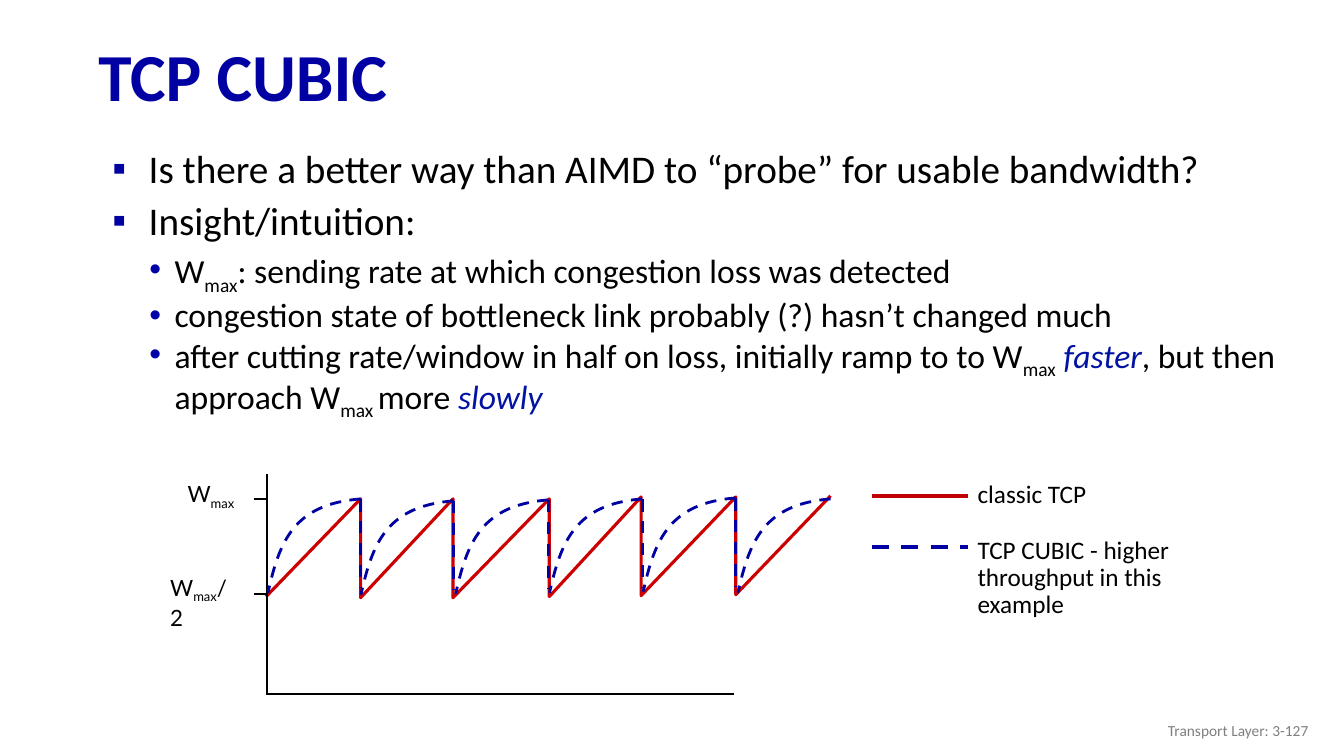
from lxml.etree import SubElement
from pptx import Presentation
from pptx.dml.color import RGBColor
from pptx.enum.dml import MSO_LINE
from pptx.enum.shapes import MSO_CONNECTOR
from pptx.enum.text import MSO_ANCHOR, MSO_AUTO_SIZE, PP_ALIGN
from pptx.oxml.ns import qn
from pptx.util import Pt

# Content: each text is a list of (words, style) runs
NAVY, BLACK, GRAY = "0000A3", "000000", "7F7F7F"
TITLE = [("TCP CUBIC", "")]
BULLETS = [  # level, space before, runs
    (0, 0, [("Is there a better way than AIMD to “probe” for usable bandwidth?", "")]),
    (0, 6.7, [("Insight/intuition:", "")]),
    (1, 5, [("W", ""), ("max", "sub"),
            (": sending rate at which congestion loss was detected", "")]),
    (1, 5, [("congestion state of bottleneck link probably (?) hasn’t changed much", "")]),
    (1, 2.5, [("after cutting rate/window in half on loss, initially ramp to to W", ""),
              ("max", "sub"), (" ", ""), ("faster", "em"), (", but then approach W", ""),
              ("max ", "sub"), ("more ", ""), ("slowly", "em")]),
]
BULLETS[-1] = (1, 0, BULLETS[-1][2])
LEVELS = [  # size, left margin, hanging indent, bullet, bullet colour
    (28, 36, 26, "▪", NAVY),
    (24, 54.5, 18, "•", "0000A8"),
]
LABELS = [  # left, top, width, height, size, font, line spacing, runs
    (126.9, 339.4, 49, 26.6, 16, "Lato", 1, [("W", ""), ("max", "sub")]),
    (114.5, 406.3, 60, 26.6, 16, "Lato", 1, [("W", ""), ("max", "sub"), ("/2", "")]),
    (691.2, 338.2, 93, 29, 18, "Calibri", 1, [("classic TCP", "")]),
    (691.2, 380.2, 172, 66, 18, "Calibri", 0.9,
     [("TCP CUBIC - higher throughput in this example", "")]),
]
FOOTER = [("Transport Layer: 3-127", "")]

# Chart geometry
START = (190.1, 426.2)
TEETH = [  # peak x, peak y, y after the loss
    (257.6, 356.4, 427), (323.6, 356.4, 427), (392.4, 356.4, 426.2),
    (458, 355, 425.5), (525.6, 355, 424.8), (593.3, 354.2, None),
]
CUBIC_PEAKS = [(257.6, 356.4), (324, 357.8), (391.7, 357.1),
               (458.7, 356.4), (525.6, 355.7), (593.3, 356.4)]
CUBIC_CONTROLS = [(-48, 3.7), (-58, 30.5)]  # Bezier controls, from the peak
CUBIC_END = (-66.2, 67)
CUBIC_DROP = 62.8
STROKES = [  # x1, y1, x2, y2, colour, width, dashed
    (190.1, 495.8, 524.2, 495.8, BLACK, 1.5, False),
    (190.8, 338.8, 190.8, 496.1, BLACK, 1.5, False),
    (181.4, 356.4, 190.1, 356.4, BLACK, 1.5, False),
    (181.4, 424.6, 190.1, 424.6, BLACK, 1.5, False),
    (622.8, 354.2, 691.2, 354.2, "C00000", 3, False),
    (622.8, 391, 691.2, 391, NAVY, 3, True),
]


def color(value):
    return RGBColor.from_string(value)


def place(shape, left, top, width, height):
    shape.left, shape.top = Pt(left), Pt(top)
    shape.width, shape.height = Pt(width), Pt(height)


def write(paragraph, runs, size, font="Calibri", ink=BLACK, spacing=1, bold=False):
    paragraph.line_spacing = spacing
    paragraph.font.size = Pt(size)
    paragraph.font.name = font
    paragraph.font.bold = bold
    paragraph.font.color.rgb = color(ink)
    for words, style in runs:
        run = paragraph.add_run()
        run.text = words
        if style == "sub":
            run._r.get_or_add_rPr().set("baseline", "-25000")
        elif style == "em":
            run.font.italic = True
            run.font.color.rgb = color("0013A3")


def add_bullet(paragraph, margin, hang, mark, ink):
    properties = paragraph._p.get_or_add_pPr()
    properties.set("marL", str(Pt(margin)))
    properties.set("indent", str(-Pt(hang)))
    SubElement(SubElement(properties, qn("a:buClr")), qn("a:srgbClr"), val=ink)
    SubElement(properties, qn("a:buFont"), typeface="Arial")
    SubElement(properties, qn("a:buChar"), char=mark)


def add_text(left, top, width, height):
    box = slide.shapes.add_textbox(Pt(left), Pt(top), Pt(width), Pt(height))
    box.text_frame.word_wrap = True
    return box.text_frame


def style_line(line, ink, width, dashed):
    line.color.rgb = color(ink)
    line.width = Pt(width)
    if dashed:
        line.dash_style = MSO_LINE.DASH


def add_stroke(x1, y1, x2, y2, ink, width, dashed):
    connector = slide.shapes.add_connector(
        MSO_CONNECTOR.STRAIGHT, Pt(x1), Pt(y1), Pt(x2), Pt(y2))
    style_line(connector.line, ink, width, dashed)
    SubElement(connector._element.spPr, qn("a:effectLst"))


def add_outline(points, ink, width, dashed):
    corners = [(Pt(x), Pt(y)) for x, y in points]
    builder = slide.shapes.build_freeform(*corners[0])
    builder.add_line_segments(corners[1:], close=False)
    shape = builder.convert_to_shape()
    shape.shadow.inherit = False
    shape.fill.background()
    style_line(shape.line, ink, width, dashed)
    return shape


def add_cubic_curve(x, y):
    end_x, end_y = CUBIC_END
    shape = add_outline([(x, y), (x + end_x, y + end_y)], NAVY, 2, True)
    segment = next(shape._element.iter(qn("a:lnTo")))
    bend = segment.getparent().makeelement(qn("a:cubicBezTo"))
    for dx, dy in CUBIC_CONTROLS + [CUBIC_END]:
        SubElement(bend, qn("a:pt"), x=str(Pt(dx - end_x)), y=str(Pt(dy)))
    segment.getparent().replace(segment, bend)


presentation = Presentation()
presentation.slide_width, presentation.slide_height = Pt(960), Pt(540)
slide = presentation.slides.add_slide(presentation.slide_layouts[1])

# Title
title = slide.shapes.title
place(title, 63, 21.6, 897, 70.6)
title.text_frame.vertical_anchor = MSO_ANCHOR.MIDDLE
title.text_frame.auto_size = MSO_AUTO_SIZE.NONE
heading = title.text_frame.paragraphs[0]
heading.alignment = PP_ALIGN.LEFT
write(heading, TITLE, 48, ink=NAVY, spacing=0.9, bold=True)

# Bullet list
body = slide.placeholders[1]
place(body, 63, 103.3, 879, 215)
body.text_frame.auto_size = MSO_AUTO_SIZE.NONE
for index, (level, before, runs) in enumerate(BULLETS):
    paragraph = body.text_frame.add_paragraph() if index else body.text_frame.paragraphs[0]
    size, *bullet = LEVELS[level]
    paragraph.level = level
    paragraph.space_before = Pt(before)
    add_bullet(paragraph, *bullet)
    write(paragraph, runs, size, spacing=0.9)

# Classic TCP sawtooth
sawtooth = [START]
for x, peak, trough in TEETH:
    sawtooth.append((x, peak))
    if trough:
        sawtooth.append((x, trough))
add_outline(sawtooth, "CC0000", 2.25, False)

# Axes, ticks and legend keys
for stroke in STROKES:
    add_stroke(*stroke)

# CUBIC curves, each but the last followed by a drop
for x, y in CUBIC_PEAKS:
    add_cubic_curve(x, y)
    if (x, y) != CUBIC_PEAKS[-1]:
        add_stroke(x, y, x, y + CUBIC_DROP, NAVY, 2.25, True)

# Axis and legend labels
for *area, size, font, spacing, runs in LABELS:
    write(add_text(*area).paragraphs[0], runs, size, font, spacing=spacing)

# Footer
footer = add_text(725.8, 507.6, 216, 28.8)
footer.vertical_anchor = MSO_ANCHOR.MIDDLE
footer.paragraphs[0].alignment = PP_ALIGN.RIGHT
write(footer.paragraphs[0], FOOTER, 11, ink=GRAY)

presentation.save("out.pptx")
